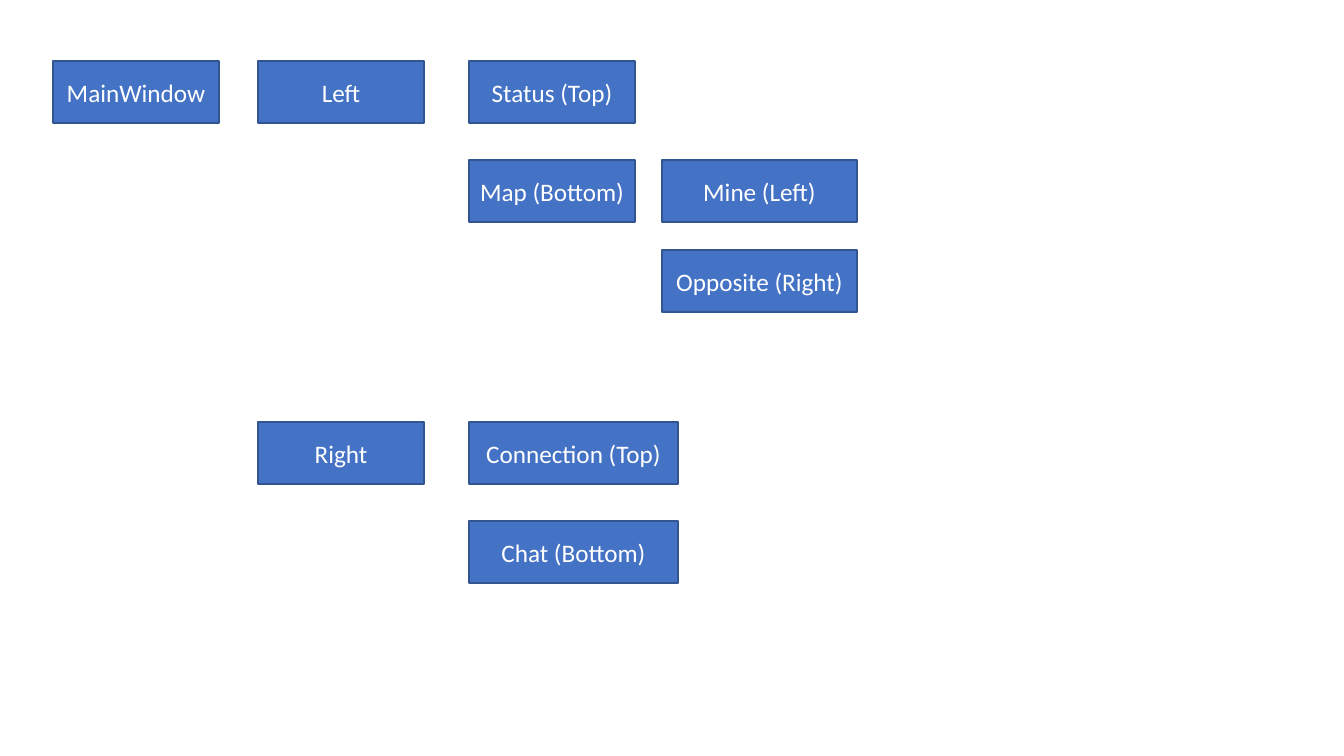
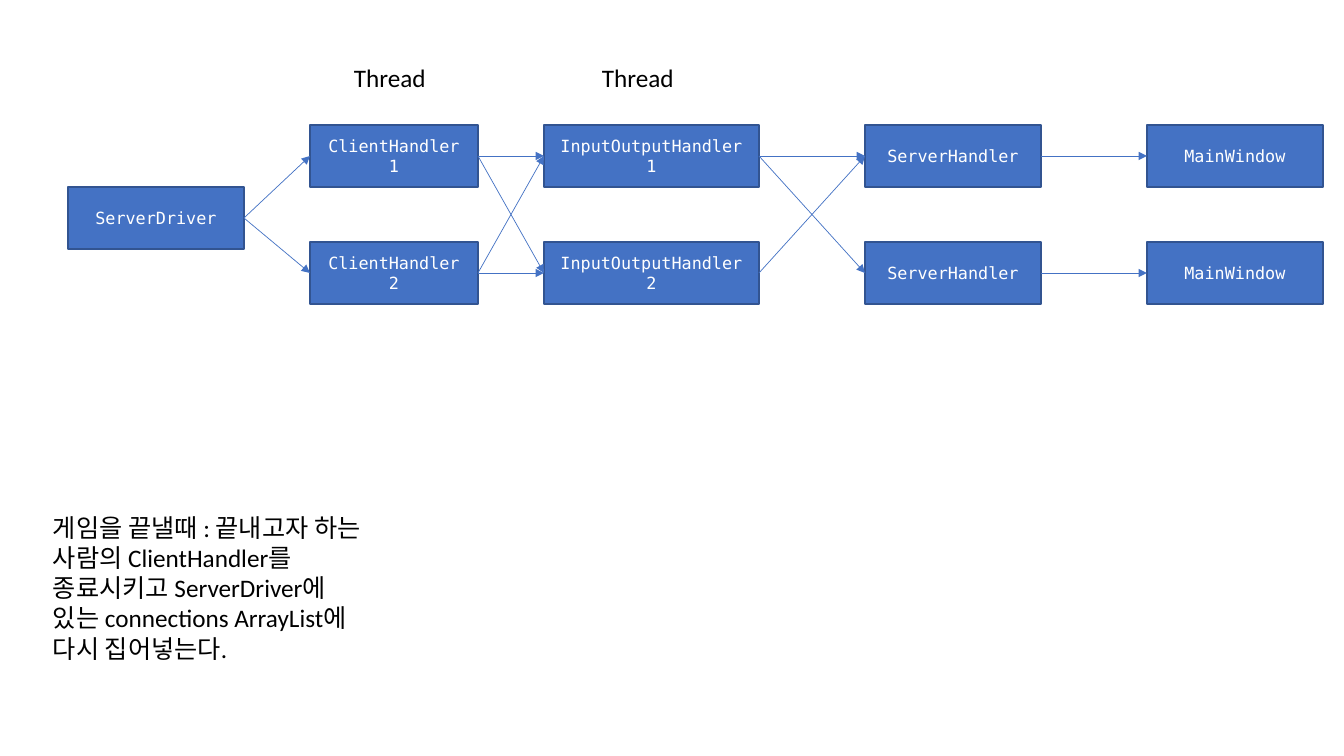
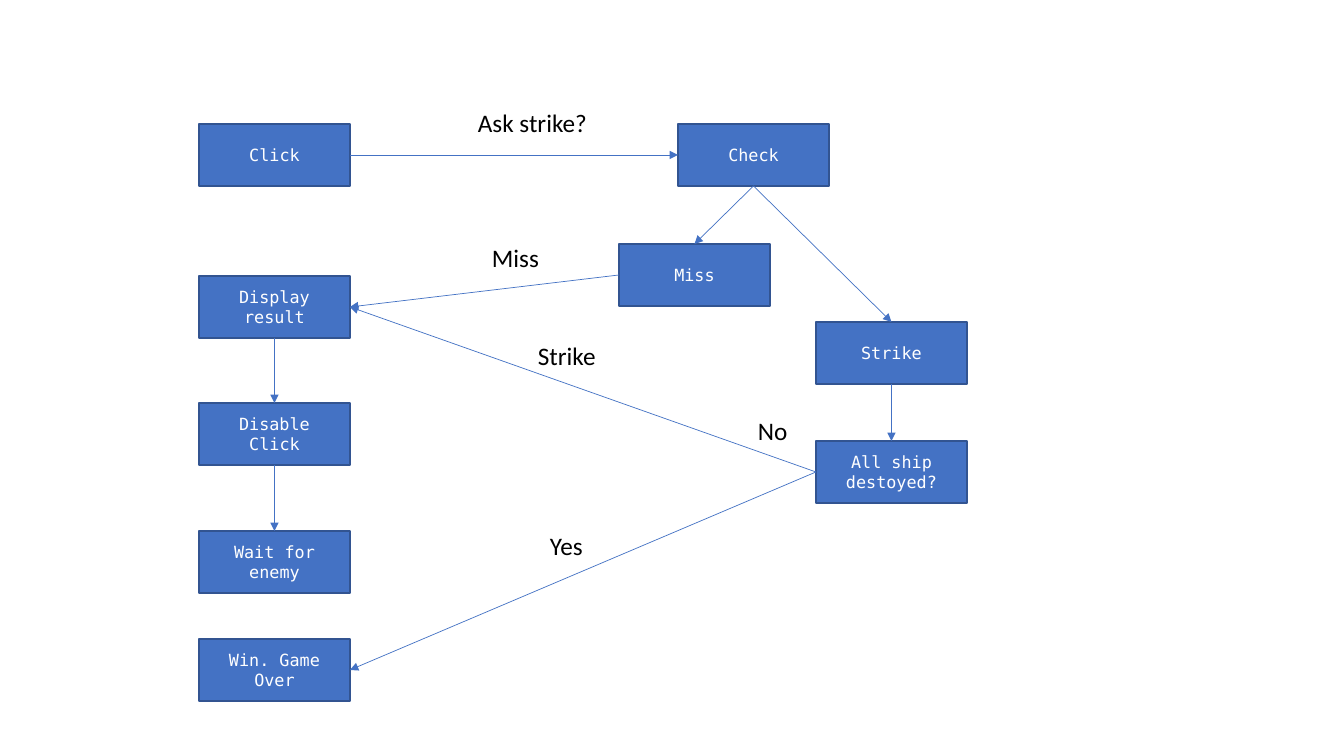
"""Window layout, handler threads and strike flow of a two-player sea battle."""
from itertools import product
from lxml.etree import SubElement
from pptx import Presentation
from pptx.dml.color import RGBColor as Rgb
from pptx.enum.shapes import MSO_CONNECTOR as Conn, MSO_SHAPE as Shape
from pptx.enum.text import MSO_AUTO_SIZE as Auto
from pptx.oxml.ns import qn
from pptx.util import Pt

PX = 914400 / 100.8
HIGH = 62
TOP, LEFT, FOOT, RIGHT = range(4)
HEX = {"fill": "4472C4", "edge": "325491", "light": "FFFFFF", "dark": "000000"}
INK = {name: Rgb.from_string(code) for name, code in HEX.items()}
SANS = {"name": "Calibri", "size": Pt(18)}
MONO = {"name": "DejaVu Sans Mono", "size": Pt(12)}
NOTE = {"word_wrap": True, "auto_size": Auto.SHAPE_TO_FIT_TEXT}


def put(slide, text, x, y, wide, high=HIGH, font=MONO, boxed=True):
    area = [round(n * PX) for n in (x, y, wide, high)]
    if boxed:
        item = slide.shapes.add_shape(Shape.RECTANGLE, *area)
        item.shadow.inherit = False
        item.fill.solid()
        item.fill.fore_color.rgb = INK["fill"]
        item.line.color.rgb = INK["edge"]
        item.line.width = Pt(1)
    else:
        item = slide.shapes.add_textbox(*area)
        for name, value in NOTE.items():
            setattr(item.text_frame, name, value)
    run = item.text_frame.paragraphs[0].add_run()
    run.text = text
    for name, value in font.items():
        setattr(run.font, name, value)
    run.font.color.rgb = INK["light" if boxed else "dark"]
    return item


def link(slide, start, end, out=RIGHT, into=LEFT):
    arrow = slide.shapes.add_connector(Conn.STRAIGHT, 0, 0, 0, 0)
    arrow.begin_connect(start, out)
    arrow.end_connect(end, into)
    arrow.line.color.rgb = INK["fill"]
    arrow.line.width = Pt(0.5)
    SubElement(arrow.line._get_or_add_ln(), qn("a:tailEnd"), type="triangle")
    SubElement(arrow._element.spPr, qn("a:effectLst"))


deck = Presentation()
deck.slide_width, deck.slide_height = round(1344 * PX), round(756 * PX)
panes, threads, strike = [deck.slides.add_slide(deck.slide_layouts[6]) for _ in range(3)]

for text, x, y, wide in [
    ("MainWindow", 53, 61, 166),
    ("Left", 258, 61, 166),
    ("Right", 258, 422, 166),
    ("Status (Top)", 469, 61, 166),
    ("Map (Bottom)", 469, 160, 166),
    ("Connection (Top)", 469, 422, 209),
    ("Chat (Bottom)", 469, 521, 209),
    ("Mine (Left)", 662, 160, 195),
    ("Opposite (Right)", 662, 250, 195),
]:
    put(panes, text, x, y, wide, font=SANS)

driver = put(threads, "ServerDriver", 68, 187, 176)
client, inout, server, window = [
    [put(threads, text.format(row), x, y, wide) for row, y in enumerate((125, 242), 1)]
    for text, x, wide in [
        ("ClientHandler {}", 310, 168),
        ("InputOutputHandler {}", 544, 215),
        ("ServerHandler", 865, 176),
        ("MainWindow", 1147, 176),
    ]
]
pairs = [(driver, each) for each in client]
pairs += product(client, inout)
pairs += [(inout[0], server[0]), (inout[1], server[0]), (inout[0], server[1])]
pairs += zip(server, window)
for start, end in pairs:
    link(threads, start, end)
for x in (344, 592):
    put(threads, "Thread", x, 57, 101, 40, SANS, False)
put(
    threads,
    "게임을 끝낼때 : 끝내고자 하는 사람의 ClientHandler를 종료시키고 "
    "ServerDriver에 있는 connections ArrayList에 다시 집어넣는다.",
    43, 507, 338, 163, SANS, False,
)

click, show, stop, wait, win, check, miss, hit, sunk = [
    put(strike, text, x, y, 151)
    for text, x, y in [
        ("Click", 199, 124),
        ("Display result", 199, 276),
        ("Disable Click", 199, 403),
        ("Wait for enemy", 199, 531),
        ("Win. Game Over", 199, 639),
        ("Check", 678, 124),
        ("Miss", 619, 244),
        ("Strike", 816, 322),
        ("All ship destoyed?", 816, 441),
    ]
]
link(strike, click, check)
for start, end in [(check, miss), (check, hit), (hit, sunk), (show, stop), (stop, wait)]:
    link(strike, start, end, FOOT, TOP)
for start, end in [(miss, show), (sunk, show), (sunk, win)]:
    link(strike, start, end, LEFT, RIGHT)
for text, x, y in [
    ("Ask strike?", 468, 102),
    ("Miss", 482, 237),
    ("Strike", 528, 335),
    ("No", 748, 410),
    ("Yes", 540, 525),
]:
    put(strike, text, x, y, 138, 40, SANS, False)

deck.save("out.pptx")
